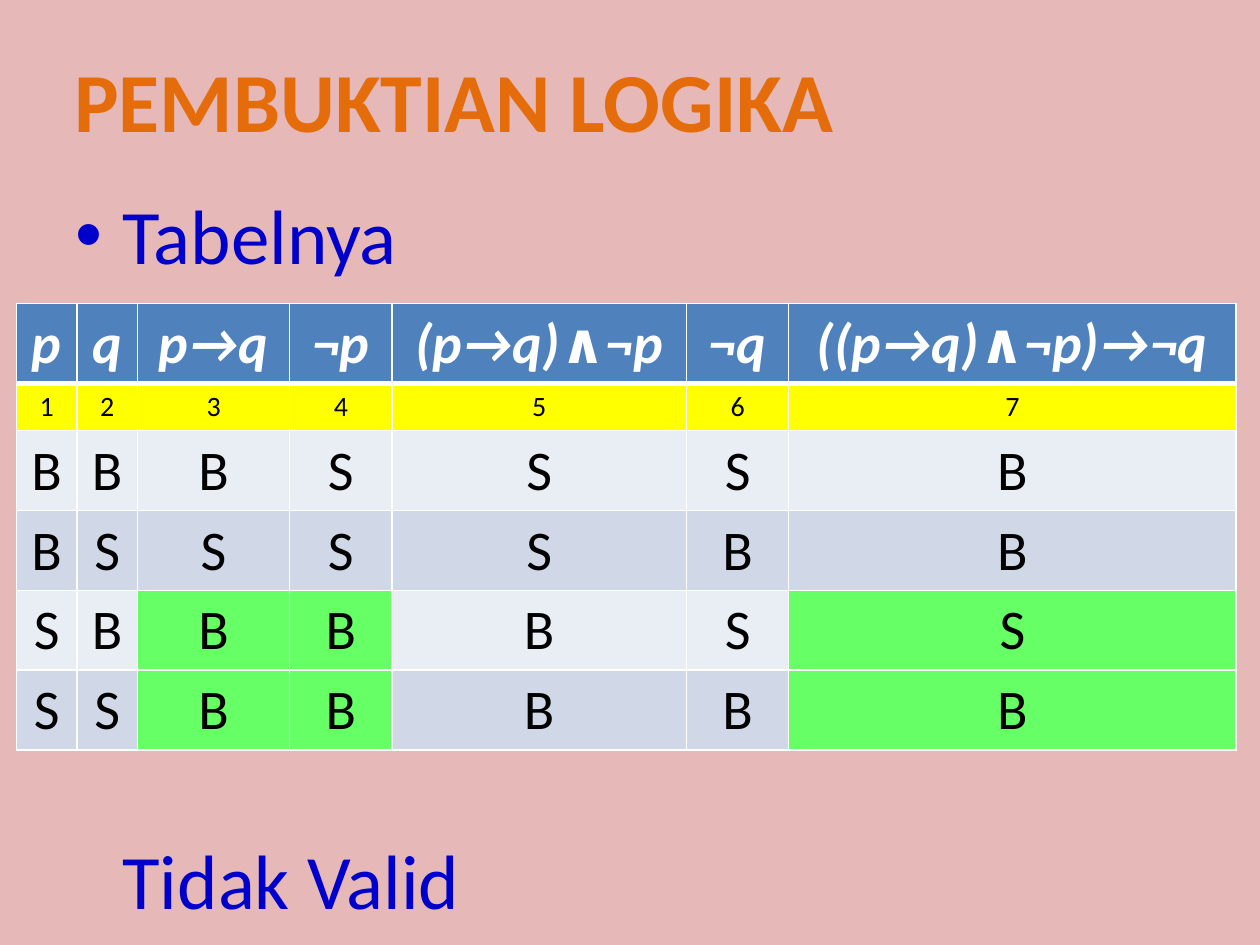
from lxml import etree
from pptx import Presentation
from pptx.dml.color import RGBColor
from pptx.enum.text import MSO_ANCHOR, MSO_AUTO_SIZE, PP_ALIGN
from pptx.oxml.ns import qn
from pptx.util import Cm, Pt

CENTER, LEFT = PP_ALIGN.CENTER, PP_ALIGN.LEFT
MIDDLE, TOP = MSO_ANCHOR.MIDDLE, MSO_ANCHOR.TOP
NO_AUTOFIT = MSO_AUTO_SIZE.NONE
FONT = "Calibri"
TITLE_ONLY = 5
COLORS = {
    "background": "E6B9B8", "title": "E46C0A", "body": "0000CC",
    "header": "4F81BD", "number": "FFFF00", "light": "E9EDF4",
    "dark": "D0D8E8", "mark": "66FF66", "white": "FFFFFF", "black": "000000",
}
HEADINGS = ["p", "q", "p→q", "¬p", "(p→q)∧¬p", "¬q", "((p→q)∧¬p)→¬q"]
TRUTH_ROWS = ["BBBSSSB", "BSSSSBB", "SBBBBSS", "SSBBBBB"]
MARKED_COLUMNS = {2, 3, 6}
FIRST_MARKED_ROW = 2
COLUMN_WIDTHS = [1.22, 1.22, 3.07, 2.06, 5.94, 2.06, 9.02]
ROW_HEIGHT, NUMBER_HEIGHT = 1.61, 0.95


def color(name):
    """Return the named colour."""
    return RGBColor.from_string(COLORS[name])


def add_run(paragraph, text, size, color_name, bold=False, italic=False):
    """Add one formatted run to a paragraph."""
    run = paragraph.add_run()
    run.text = text
    run.font.name = FONT
    run.font.size = Pt(size)
    run.font.bold = bold
    run.font.italic = italic
    run.font.color.rgb = color(color_name)


def place_title(slide, left, top, width, height):
    """Place and format the title placeholder."""
    title = slide.shapes.title
    title.left, title.top = Cm(left), Cm(top)
    title.width, title.height = Cm(width), Cm(height)
    frame = title.text_frame
    frame.word_wrap = False
    frame.auto_size = NO_AUTOFIT
    frame.vertical_anchor = TOP
    paragraph = frame.paragraphs[0]
    paragraph.alignment = CENTER
    add_run(paragraph, "PEMBUKTIAN LOGIKA", 48, "title", bold=True)


def add_statement(slide, text, left, top, width, height, bullet=False):
    """Add a large indented line of text, with or without a bullet."""
    box = slide.shapes.add_textbox(Cm(left), Cm(top), Cm(width), Cm(height))
    box.text_frame.word_wrap = True
    paragraph = box.text_frame.paragraphs[0]
    paragraph.alignment = LEFT
    properties = paragraph._p.get_or_add_pPr()
    properties.set("marL", str(Cm(0.95)))
    if bullet:
        properties.set("indent", str(-Cm(0.95)))
        etree.SubElement(properties, qn("a:buFont"), typeface="Arial")
        etree.SubElement(properties, qn("a:buChar"), char="•")
    add_run(paragraph, text, 44, "body")


def set_borders(cell, bottom_width=1, top_width=1):
    """Draw white borders around a cell."""
    properties = cell._tc.get_or_add_tcPr()
    widths = {"a:lnL": 1, "a:lnR": 1, "a:lnT": top_width, "a:lnB": bottom_width}
    for position, (tag, width) in enumerate(widths.items()):
        line = etree.Element(qn(tag), w=str(Pt(width)))
        fill = etree.SubElement(line, qn("a:solidFill"))
        etree.SubElement(fill, qn("a:srgbClr"), val=COLORS["white"])
        properties.insert(position, line)


def fill_cell(cell, text, fill_name, size=32, text_color="black", emphasis=False):
    """Write centred text in a cell and set its fill."""
    cell.fill.solid()
    cell.fill.fore_color.rgb = color(fill_name)
    cell.vertical_anchor = TOP
    paragraph = cell.text_frame.paragraphs[0]
    paragraph.alignment = CENTER
    add_run(paragraph, text, size, text_color, emphasis, emphasis)


def add_truth_table(slide, left, top):
    """Add the truth table with headings, column numbers and values."""
    heights = [ROW_HEIGHT, NUMBER_HEIGHT] + [ROW_HEIGHT] * len(TRUTH_ROWS)
    table = slide.shapes.add_table(
        len(heights), len(HEADINGS), Cm(left), Cm(top),
        Cm(sum(COLUMN_WIDTHS)), Cm(sum(heights))).table
    table.first_row = table.horz_banding = False
    for row, height in zip(table.rows, heights):
        row.height = Cm(height)
    for index, (heading, width) in enumerate(zip(HEADINGS, COLUMN_WIDTHS)):
        table.columns[index].width = Cm(width)
        header, number = table.cell(0, index), table.cell(1, index)
        fill_cell(header, heading, "header", 32, "white", emphasis=True)
        set_borders(header, bottom_width=3)
        fill_cell(number, str(index + 1), "number", 16)
        set_borders(number, top_width=3)
        for row_index, values in enumerate(TRUTH_ROWS):
            marked = row_index >= FIRST_MARKED_ROW and index in MARKED_COLUMNS
            band = "dark" if row_index % 2 else "light"
            cell = table.cell(row_index + 2, index)
            fill_cell(cell, values[index], "mark" if marked else band)
            set_borders(cell)


def main():
    """Build and save the presentation."""
    presentation = Presentation()
    presentation.slide_width, presentation.slide_height = Cm(25.4), Cm(19.05)
    slide = presentation.slides.add_slide(presentation.slide_layouts[TITLE_ONLY])
    slide.background.fill.solid()
    slide.background.fill.fore_color.rgb = color("background")
    place_title(slide, 0.94, 0.86, 16.43, 2.31)
    add_statement(slide, "Tabelnya", 1.27, 3.66, 22.86, 2.15, bullet=True)
    add_truth_table(slide, 0.33, 6.12)
    add_statement(slide, "Tidak Valid", 1.27, 16.66, 22.86, 2.15)
    presentation.save("out.pptx")


if __name__ == "__main__":
    main()
